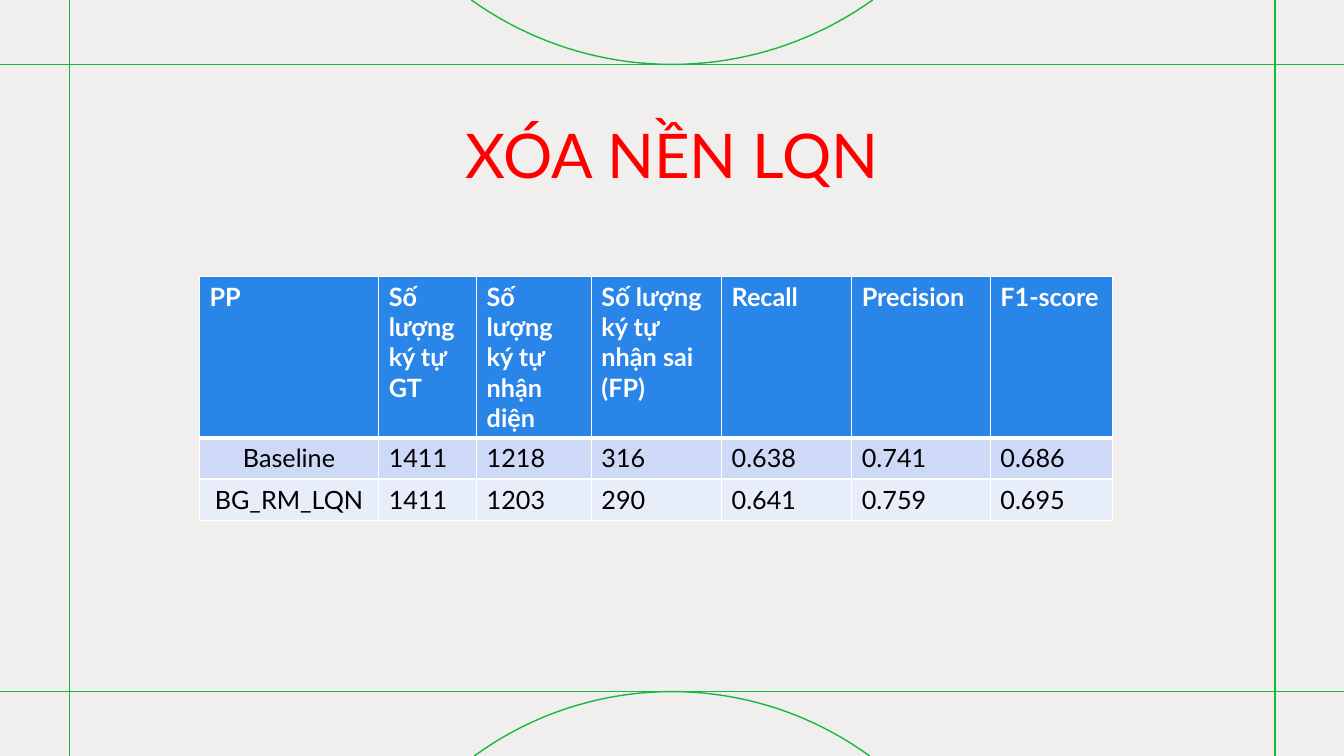
from dataclasses import dataclass
from math import asin, cos, sin

from lxml.etree import SubElement
from pptx import Presentation
from pptx.dml.color import RGBColor
from pptx.enum.shapes import MSO_CONNECTOR as Link
from pptx.enum.text import MSO_ANCHOR as Anchor, PP_ALIGN as Align
from pptx.oxml.ns import qn
from pptx.slide import Slide
from pptx.table import _Cell as Cell
from pptx.util import Pt

PAPER = RGBColor(0xF1, 0xEF, 0xEE)
GREEN = RGBColor(0x14, 0xBA, 0x40)
RED = RGBColor(0xFF, 0x00, 0x00)
WHITE = RGBColor(0xFF, 0xFF, 0xFF)
BLACK = RGBColor(0x00, 0x00, 0x00)
BLUE = RGBColor(0x29, 0x85, 0xE7)
BANDS = (RGBColor(0xCD, 0xD9, 0xF6), RGBColor(0xE8, 0xED, 0xFA))
FONT = "Lato"
WIDE, HIGH = 960, 540
TOP, BASE = 46, 494
LEFT, RIGHT = 49.7, 910.8
STEPS = 40

COLS = (128, 70, 82, 93, 93, 99, 87)
ROWS = (114.5, 29.5, 29.5)
DATA = (
    ("PP", "Số lượng ký tự GT", "Số lượng ký tự nhận diện",
     "Số lượng ký tự nhận sai (FP)", "Recall", "Precision", "F1-score"),
    ("Baseline", "1411", "1218", "316", "0.638", "0.741", "0.686"),
    ("BG_RM_LQN", "1411", "1203", "290", "0.641", "0.759", "0.695"),
)


@dataclass(frozen=True)
class Rule:
    x1: float
    y1: float
    x2: float
    y2: float


@dataclass(frozen=True)
class Arc:
    tip: float
    edge: float
    half: float


RULES = (
    Rule(0, BASE, WIDE, BASE),
    Rule(0, TOP, WIDE, TOP),
    Rule(RIGHT, HIGH, RIGHT, 0),
    Rule(LEFT, HIGH, LEFT, 0),
)
ARCS = (Arc(TOP, 0, 143.3), Arc(BASE, HIGH, 141.2))


def draw_rule(slide: Slide, rule: Rule) -> None:
    line = slide.shapes.add_connector(
        Link.STRAIGHT, Pt(rule.x1), Pt(rule.y1), Pt(rule.x2), Pt(rule.y2))
    line.line.color.rgb = GREEN
    line.line.width = Pt(1)
    SubElement(line._element.spPr, qn("a:effectLst"))


def draw_arc(slide: Slide, arc: Arc) -> None:
    sag = arc.edge - arc.tip
    radius = (arc.half ** 2 + sag ** 2) / (2 * sag)
    sweep = asin(arc.half / abs(radius))
    turns = [sweep * (2 * i / STEPS - 1) for i in range(STEPS + 1)]
    dots = [(Pt(WIDE / 2 + abs(radius) * sin(turn)),
             Pt(arc.tip + radius * (1 - cos(turn)))) for turn in turns]
    pen = slide.shapes.build_freeform(*dots[0])
    pen.add_line_segments(dots[1:], close=False)
    curve = pen.convert_to_shape()
    curve.shadow.inherit = False
    curve.fill.background()
    curve.line.color.rgb = GREEN
    curve.line.width = Pt(1)


def add_edge(cell: Cell, side: str, width: float) -> None:
    props = cell._tc.get_or_add_tcPr()
    line = SubElement(props, qn(f"a:ln{side}"), w=str(Pt(width)))
    fill = SubElement(line, qn("a:solidFill"))
    SubElement(fill, qn("a:srgbClr"), val=str(WHITE))


def fill_cell(cell: Cell, text: str, row: int, col: int) -> None:
    head = row == 0
    for side in "LRTB":
        thick = (row, side) in ((0, "B"), (1, "T"))
        add_edge(cell, side, 3 if thick else 1)
    cell.fill.solid()
    cell.fill.fore_color.rgb = BLUE if head else BANDS[row - 1]
    cell.text = text
    para = cell.text_frame.paragraphs[0]
    para.alignment = Align.LEFT if head or col else Align.CENTER
    para.font.name = FONT
    para.font.size = Pt(18)
    para.font.bold = head
    para.font.color.rgb = WHITE if head else BLACK


def draw_table(slide: Slide) -> None:
    frame = slide.shapes.add_table(
        len(ROWS), len(COLS), Pt(142.5), Pt(197.5), Pt(sum(COLS)), Pt(sum(ROWS)))
    table = frame.table
    table.horz_banding = False
    for col, width in zip(table.columns, COLS):
        col.width = Pt(width)
    for row, height in zip(table.rows, ROWS):
        row.height = Pt(height)
    for r, texts in enumerate(DATA):
        for c, text in enumerate(texts):
            fill_cell(table.cell(r, c), text, r, c)


def set_title(slide: Slide, text: str) -> None:
    title = slide.shapes.title
    title.left, title.top = Pt(66), Pt(57.5)
    title.width, title.height = Pt(828), Pt(104.5)
    title.text_frame.text = text
    title.text_frame.vertical_anchor = Anchor.MIDDLE
    para = title.text_frame.paragraphs[0]
    para.alignment = Align.CENTER
    para.font.name = FONT
    para.font.size = Pt(44)
    para.font.color.rgb = RED


def main() -> None:
    deck = Presentation()
    deck.slide_width, deck.slide_height = Pt(WIDE), Pt(HIGH)
    slide = deck.slides.add_slide(deck.slide_layouts[5])
    slide.background.fill.solid()
    slide.background.fill.fore_color.rgb = PAPER
    for rule in RULES:
        draw_rule(slide, rule)
    for arc in ARCS:
        draw_arc(slide, arc)
    set_title(slide, "XÓA NỀN LQN")
    draw_table(slide)
    deck.save("out.pptx")


if __name__ == "__main__":
    main()
